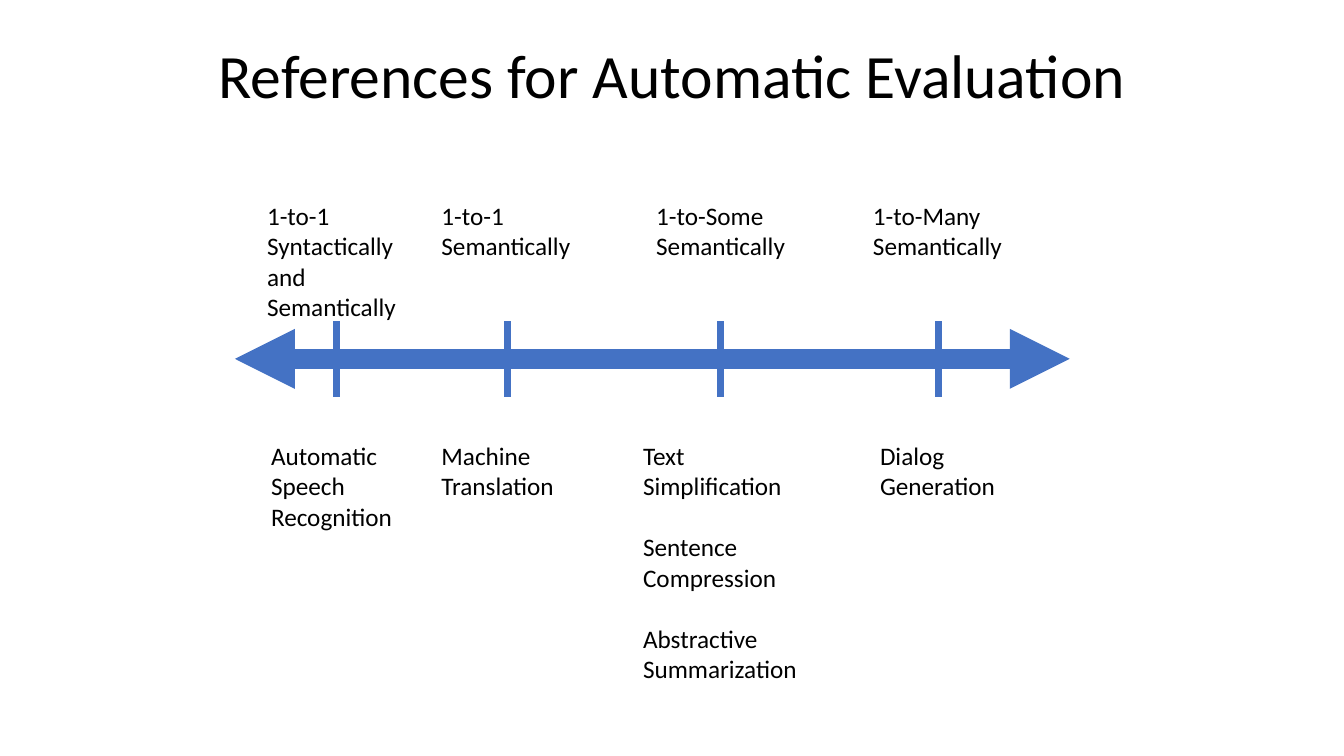
from dataclasses import dataclass

from lxml.etree import SubElement
from pptx import Presentation
from pptx.dml.color import RGBColor
from pptx.enum.shapes import MSO_CONNECTOR
from pptx.enum.text import MSO_ANCHOR, MSO_AUTO_SIZE, PP_ALIGN
from pptx.oxml.ns import qn
from pptx.util import Inches, Pt

COLORS = {"text": "000000", "axis": "4472C4"}
FONT = "Calibri"
AXIS_Y = 3.56
TICK_HEIGHT = 0.75
RELATION_TOP = 1.94
TASK_TOP = 4.32
LINE_HEIGHT = 0.3


@dataclass
class Label:
    left: float
    width: float
    groups: list[list[str]]


@dataclass
class Stop:
    x: float
    relation: Label
    tasks: Label


STOPS = [
    Stop(3.34,
         Label(2.55, 1.49, [["1-to-1", "Syntactically", "and", "Semantically"]]),
         Label(2.59, 1.42, [["Automatic", "Speech", "Recognition"]])),
    Stop(5.03,
         Label(4.28, 1.49, [["1-to-1", "Semantically"]]),
         Label(4.28, 1.33, [["Machine", "Translation"]])),
    Stop(7.15,
         Label(6.41, 1.49, [["1-to-Some", "Semantically"]]),
         Label(6.28, 1.74, [["Text", "Simplification"],
                            ["Sentence", "Compression"],
                            ["Abstractive", "Summarization"]])),
    Stop(9.31,
         Label(8.56, 1.49, [["1-to-Many", "Semantically"]]),
         Label(8.63, 1.36, [["Dialog", "Generation"]])),
]


def set_font(p, size: float) -> None:
    p.font.name = FONT
    p.font.size = Pt(size)
    p.font.color.rgb = RGBColor.from_string(COLORS["text"])


def add_line(slide, x1: float, y1: float, x2: float, y2: float, *,
             width: float, arrows: bool = False) -> None:
    sp = slide.shapes.add_connector(
        MSO_CONNECTOR.STRAIGHT, Inches(x1), Inches(y1), Inches(x2), Inches(y2))
    sp.line.color.rgb = RGBColor.from_string(COLORS["axis"])
    sp.line.width = Pt(width)
    if arrows:
        ln = sp.line._get_or_add_ln()
        for end in ("a:headEnd", "a:tailEnd"):
            SubElement(ln, qn(end), type="triangle")
    SubElement(sp._element.spPr, qn("a:effectLst"))


def add_label(slide, label: Label, top: float) -> None:
    """Write one line per paragraph, with a line's gap between groups."""
    lines = sum(map(len, label.groups)) + len(label.groups) - 1
    sp = slide.shapes.add_textbox(
        Inches(label.left), Inches(top),
        Inches(label.width), Inches(lines * LINE_HEIGHT + 0.1))
    tf = sp.text_frame
    tf.word_wrap = False
    tf.auto_size = MSO_AUTO_SIZE.SHAPE_TO_FIT_TEXT
    tf.text = "\n".join(line for group in label.groups for line in group)
    for p in tf.paragraphs:
        set_font(p, 18)
    start = 0
    for group in label.groups[:-1]:
        start += len(group)
        tf.paragraphs[start].space_before = Pt(22)


def add_title(slide, text: str) -> None:
    sp = slide.shapes.title
    sp.left, sp.top = Inches(0.92), Inches(0.4)
    sp.width, sp.height = Inches(11.5), Inches(1.45)
    tf = sp.text_frame
    tf.text = text
    tf.word_wrap = True
    tf.auto_size = MSO_AUTO_SIZE.NONE
    tf.vertical_anchor = MSO_ANCHOR.TOP
    p = tf.paragraphs[0]
    p.alignment = PP_ALIGN.CENTER
    p.line_spacing = 0.9
    set_font(p, 44)


def main() -> None:
    prs = Presentation()
    prs.slide_width, prs.slide_height = Inches(13.33), Inches(7.5)
    slide = prs.slides.add_slide(prs.slide_layouts.get_by_name("Title Only"))
    add_title(slide, "References for Automatic Evaluation")
    add_line(slide, 2.33, AXIS_Y, 10.61, AXIS_Y, width=14.25, arrows=True)
    for stop in STOPS:
        add_line(slide, stop.x, AXIS_Y - TICK_HEIGHT / 2,
                 stop.x, AXIS_Y + TICK_HEIGHT / 2, width=5)
        add_label(slide, stop.relation, RELATION_TOP)
        add_label(slide, stop.tasks, TASK_TOP)
    prs.save("out.pptx")


if __name__ == "__main__":
    main()
